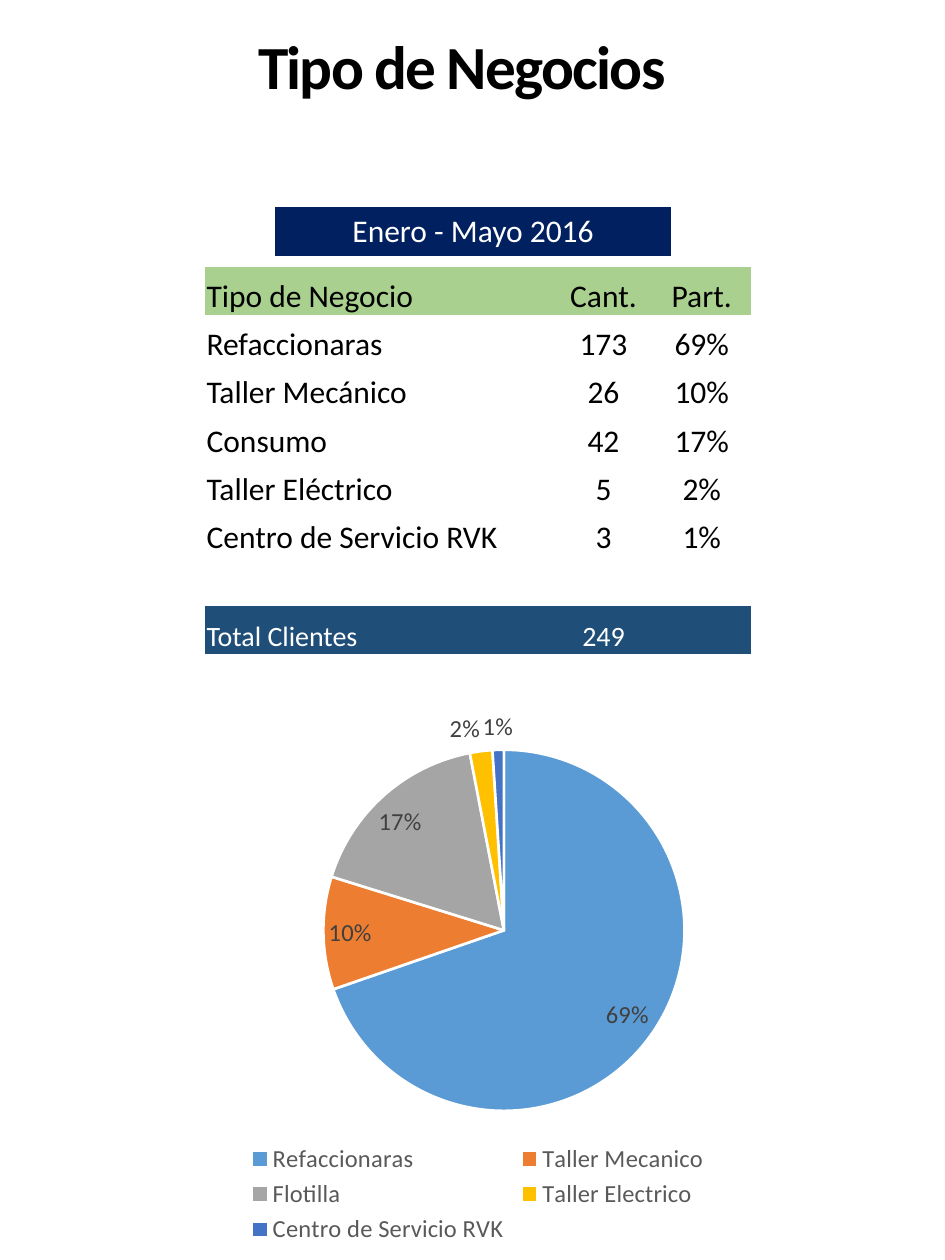
from lxml import etree
from pptx import Presentation
from pptx.chart.data import CategoryChartData
from pptx.dml.color import RGBColor
from pptx.enum.chart import XL_CHART_TYPE, XL_LABEL_POSITION, XL_LEGEND_POSITION
from pptx.enum.text import MSO_ANCHOR, MSO_AUTO_SIZE, PP_ALIGN
from pptx.oxml import parse_xml
from pptx.oxml.ns import nsdecls, qn
from pptx.util import Inches, Pt

FONT = "Calibri"
COLORS = {
    "ink": "000000", "white": "FFFFFF", "banner": "002060",
    "header": "A9D08E", "total": "1F4E78", "label": "404040", "legend": "595959",
}
SLICES = [
    ("Refaccionaras", 0.69, "5B9BD5"),
    ("Taller Mecanico", 0.10, "ED7D31"),
    ("Flotilla", 0.17, "A5A5A5"),
    ("Taller Electrico", 0.02, "FFC000"),
    ("Centro de Servicio RVK", 0.01, "4472C4"),
]
BUSINESSES = [
    ("Tipo de Negocio", "Cant.", "Part."),
    ("Refaccionaras", "173", "69%"),
    ("Taller Mecánico", "26", "10%"),
    ("Consumo", "42", "17%"),
    ("Taller Eléctrico", "5", "2%"),
    ("Centro de Servicio RVK", "3", "1%"),
    ("", "", ""),
    ("Total Clientes", "249", ""),
]
PLAIN_STYLE = "{2D5ABB26-0587-4C30-8999-92F81FD0307C}"


def style_font(font, size, color, bold=False):
    """Set typeface, size, colour and weight."""
    font.name, font.size, font.bold = FONT, Pt(size), bold
    font.color.rgb = RGBColor.from_string(color)


def add_title(slide, text):
    """Move and format the title placeholder."""
    title = slide.shapes.title
    title.left, title.top = Inches(0.29), Inches(0.26)
    title.width, title.height = Inches(6.75), Inches(0.59)
    frame = title.text_frame
    frame.text = text
    frame.auto_size = MSO_AUTO_SIZE.NONE
    frame.vertical_anchor = MSO_ANCHOR.BOTTOM
    frame.margin_left = frame.margin_right = Inches(0.07)
    frame.margin_top = frame.margin_bottom = Inches(0.04)
    paragraph = frame.paragraphs[0]
    paragraph.alignment = PP_ALIGN.CENTER
    run = paragraph.runs[0]
    style_font(run.font, 35, COLORS["ink"], True)
    run.font._element.set("spc", "-100")


def add_plain_table(slide, left, top, col_widths, row_height, row_count):
    """Add an unstyled table and return it."""
    table = slide.shapes.add_table(
        row_count, len(col_widths), Inches(left), Inches(top),
        Inches(sum(col_widths)), Inches(row_height * row_count)).table
    table.first_row = table.horz_banding = False
    table._tbl.tblPr.find(qn("a:tableStyleId")).text = PLAIN_STYLE
    for column, width in zip(table.columns, col_widths):
        column.width = Inches(width)
    return table


def fill_cell(cell, text, size, color, fill=None, align=PP_ALIGN.CENTER):
    """Write one cell and set its fill."""
    cell.text = text
    paragraph = cell.text_frame.paragraphs[0]
    paragraph.alignment = align
    style_font(paragraph.font, size, color)
    for run in paragraph.runs:
        style_font(run.font, size, color)
    if fill:
        cell.fill.solid()
        cell.fill.fore_color.rgb = RGBColor.from_string(fill)
    else:
        cell.fill.background()


def add_borders(cell, color, **widths):
    """Draw cell edges, in points, ahead of the cell's fill."""
    for index, (side, width) in enumerate(widths.items()):
        cell._tc.get_or_add_tcPr().insert(index, parse_xml(
            f'<a:ln{side} {nsdecls("a")} w="{Pt(width)}"><a:solidFill>'
            f'<a:srgbClr val="{color}"/></a:solidFill></a:ln{side}>'))


def add_business_table(slide):
    """Add the table of business types with header and total rows."""
    table = add_plain_table(slide, 1.63, 2.12, [2.77, 0.78, 0.78], 0.384, len(BUSINESSES))
    last = len(BUSINESSES) - 1
    looks = {0: (18, COLORS["ink"], COLORS["header"]),
             last: (16, COLORS["white"], COLORS["total"])}
    for r, row in enumerate(BUSINESSES):
        size, color, fill = looks.get(r, (18, COLORS["ink"], None))
        for c, text in enumerate(row):
            cell = table.cell(r, c)
            cell.margin_left = cell.margin_right = cell.margin_top = Inches(0.01)
            cell.margin_bottom = 0
            cell.vertical_anchor = MSO_ANCHOR.BOTTOM
            fill_cell(cell, text, size, color, fill,
                      PP_ALIGN.CENTER if c else PP_ALIGN.LEFT)


def add_period_banner(slide, text):
    """Add the one-cell table that names the period."""
    cell = add_plain_table(slide, 2.18, 1.64, [3.15], 0.41, 1).cell(0, 0)
    fill_cell(cell, text, 18, COLORS["white"], COLORS["banner"])
    add_borders(cell, COLORS["white"], L=1, R=1, T=1, B=3)


def set_layout(element, inner=False, **shares):
    """Place a chart part by shares of the chart's size."""
    layout = element.find(qn("c:layout"))
    if layout is None:
        layout = etree.Element(qn("c:layout"))
        if inner:
            element.insert(0, layout)
        else:
            element.find(qn("c:legendPos")).addnext(layout)
    manual = etree.SubElement(layout, qn("c:manualLayout"))
    settings = {"layoutTarget": "inner"} if inner else {}
    settings.update(xMode="edge", yMode="edge", **shares)
    for tag, value in settings.items():
        etree.SubElement(manual, qn(f"c:{tag}")).set("val", str(value))


def add_pie(slide):
    """Add the pie of shares with labels and a two-column legend."""
    data = CategoryChartData(number_format="0%")
    data.categories = [name for name, _, _ in SLICES]
    data.add_series("Series 1", [share for _, share, _ in SLICES])
    chart = slide.shapes.add_chart(
        XL_CHART_TYPE.PIE, Inches(0.87), Inches(5.51), Inches(5.85), Inches(4.41), data).chart
    chart.has_title = False
    style_font(chart.font, 14, COLORS["ink"])
    plot = chart.plots[0]
    plot.vary_by_categories = True
    for index, (_, _, color) in enumerate(SLICES):
        form = plot.series[0].points[index].format
        form.fill.solid()
        form.fill.fore_color.rgb = RGBColor.from_string(color)
        form.line.color.rgb = RGBColor.from_string(COLORS["white"])
        form.line.width = Pt(1.5)
    labels = plot.series[0].data_labels
    labels.show_value = True
    labels.show_percentage = False
    labels.number_format, labels.number_format_is_linked = "0%", False
    labels.position = XL_LABEL_POSITION.BEST_FIT
    style_font(labels.font, 14, COLORS["label"])
    chart.has_legend = True
    legend = chart.legend
    legend.position = XL_LEGEND_POSITION.BOTTOM
    legend.include_in_layout = False
    style_font(legend.font, 14, COLORS["legend"])
    area = chart._chartSpace.chart.plotArea
    set_layout(area, inner=True, x=0.29, y=0.1, w=0.49, h=0.65)
    set_layout(legend._element, x=0.18, y=0.8, w=0.64, h=0.2)


def main():
    """Build and save the slide."""
    deck = Presentation()
    deck.slide_width, deck.slide_height = Inches(7.5), Inches(10)
    slide = deck.slides.add_slide(deck.slide_layouts[5])
    add_title(slide, "Tipo de Negocios")
    add_business_table(slide)
    add_period_banner(slide, "Enero - Mayo 2016")
    add_pie(slide)
    deck.save("out.pptx")


main()
